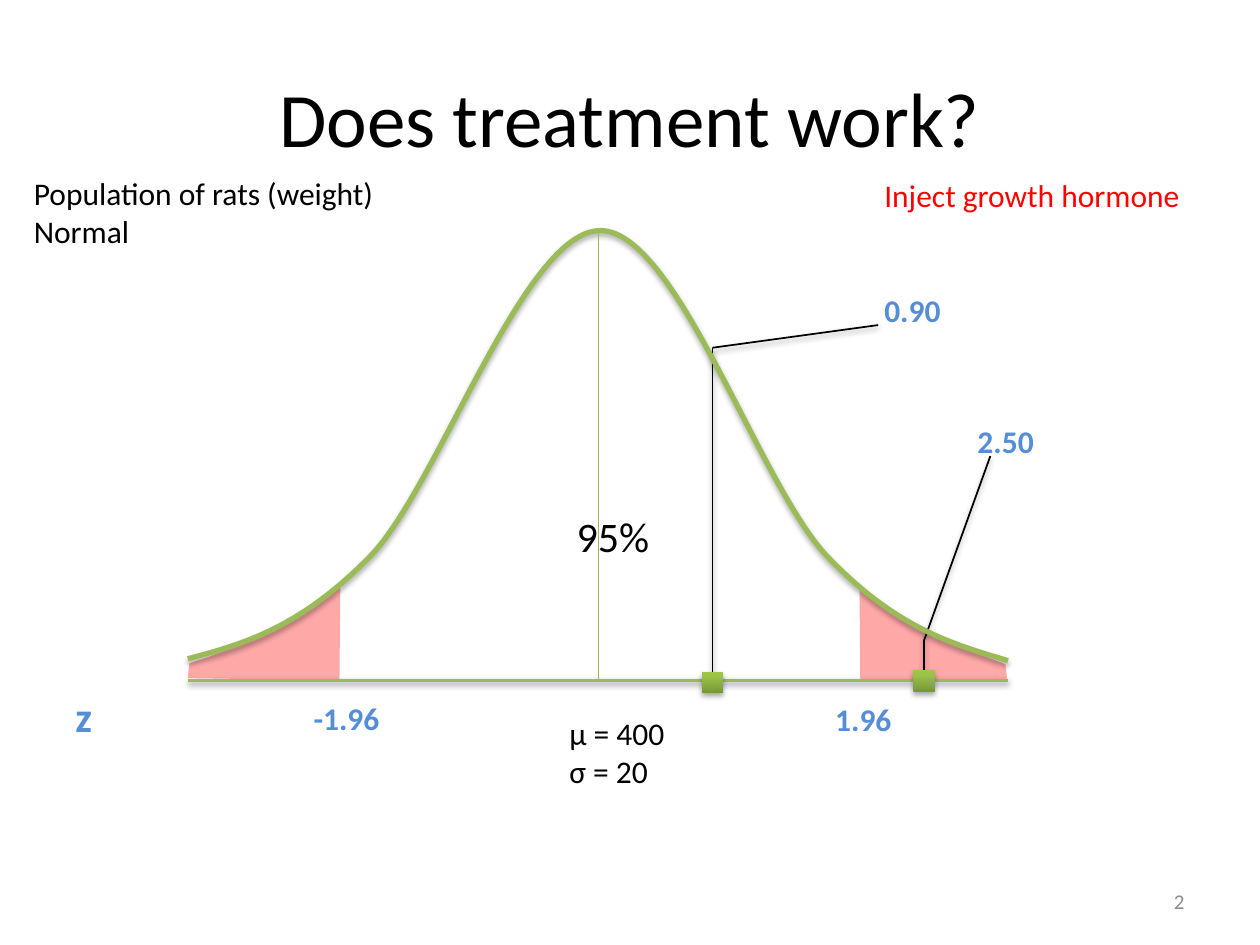
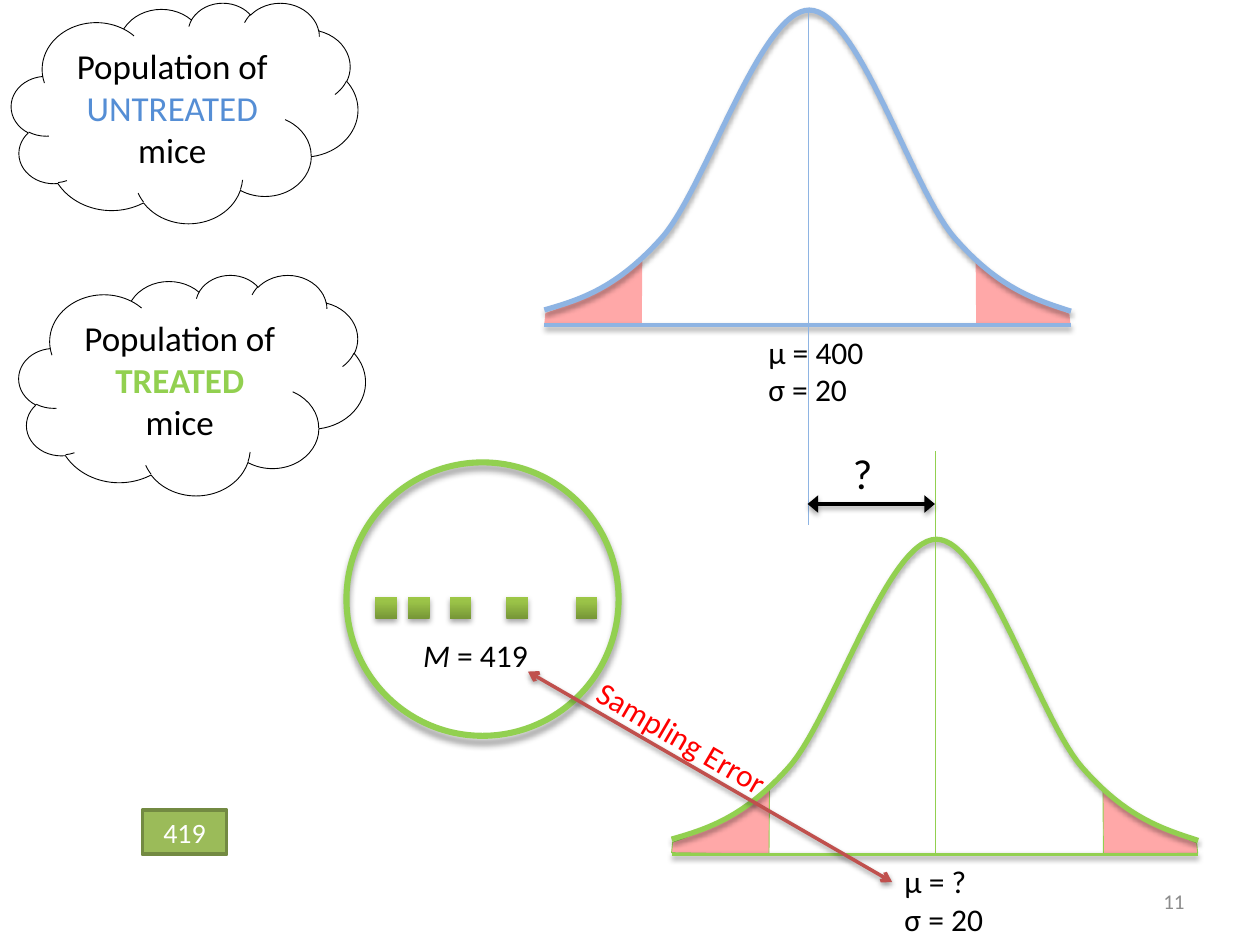
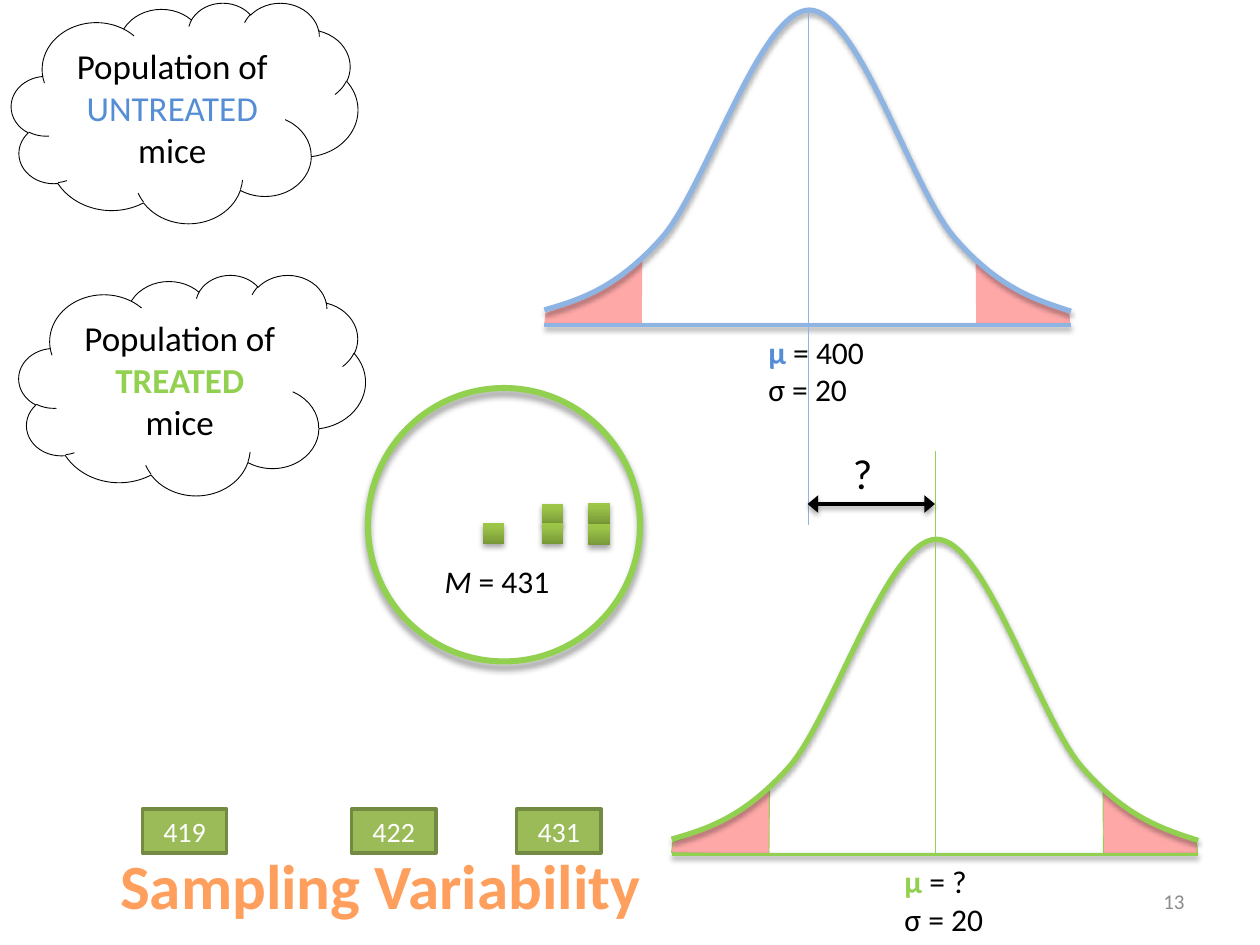
"""Build three slides on treatment effects and sampling."""
import dataclasses

import lxml.etree
import pptx
import pptx.dml.color
import pptx.enum.shapes
import pptx.enum.text
import pptx.oxml.ns
import pptx.util

Inches = pptx.util.Inches
Pt = pptx.util.Pt
SHAPE = pptx.enum.shapes.MSO_SHAPE
ALIGN = pptx.enum.text.PP_ALIGN
ANCHOR = pptx.enum.text.MSO_ANCHOR


@dataclasses.dataclass(frozen=True)
class Theme:
    """Fonts, colours, type sizes and shadows that the slides share."""
    font: str = "Calibri"
    black: str = "000000"
    white: str = "FFFFFF"
    grey: str = "8C8C8C"
    red: str = "FF0000"
    brick: str = "C0504D"
    blue: str = "558ED5"
    sky: str = "8EB4E3"
    green: str = "92D050"
    olive: str = "9BBB59"
    moss: str = "98B955"
    edge: str = "738A42"
    leaf: tuple = ((0, "779737"), (80, "9BC348"), (100, "9DC746"))
    peach: tuple = ((0, "FFA367"), (25, "FF9F5D"), (50, "F38E3A"),
                    (75, "FF9F5D"), (100, "FFA367"))
    title: int = 44
    banner: int = 36
    large: int = 24
    cloud: int = 20
    body: int = 18
    card: int = 16
    small: int = 12
    soft: tuple = (35, 3.15, 1.8)
    firm: tuple = (38, 3.15, 1.6)
    deep: tuple = (40, 4, 3)
    dot: float = 0.17


THEME = Theme()

MID = 50.1
CURVE = [(0, 95.2),
         (6.9, 91.9), (13.8, 88.2), (22.3, 72.3),
         (30.6, 56.6), (41, 0), (50.3, 0),
         (59.6, 0), (69.6, 56.3), (77.9, 72.3),
         (86.2, 88.2), (93.1, 91.9), (100, 95.6)]
TAILS = [
    [(18.5, 100), (18.6, 79.3), (14.8, 84.5), (12, 87.4), (8.7, 90.4),
     (5.2, 93), (1.9, 95.2), (0.2, 96.2), (0, 99.5)],
    [(82, 100), (81.9, 79.3), (85.7, 84.6), (88.4, 87.6), (91.6, 90.5),
     (94.8, 93), (98.1, 95.3), (99.7, 96.4), (99.9, 99.7)],
]


def paint(code):
    """Return a colour from its hex code."""
    return pptx.dml.color.RGBColor.from_string(code)


def child(parent, tag, **facts):
    """Add an XML child and return it."""
    name = pptx.oxml.ns.qn(tag)
    return lxml.etree.SubElement(parent, name, {k: str(v) for k, v in facts.items()})


def shade(item, cast=None):
    """Give a shape or connector its own shadow, or none."""
    effects = child(item._element.spPr, "a:effectLst")
    if cast:
        alpha, blur, gap = cast
        shadow = child(effects, "a:outerShdw", blurRad=Pt(blur), dist=Pt(gap),
                       dir=90 * 60000, rotWithShape=0)
        colour = child(shadow, "a:srgbClr", val=THEME.black)
        child(colour, "a:alpha", val=alpha * 1000)


def blend(fill, host, stops, angle):
    """Fill with a gradient of several stops."""
    fill.gradient()
    fill.gradient_angle = angle
    rows = host.find(pptx.oxml.ns.qn("a:gradFill")).find(pptx.oxml.ns.qn("a:gsLst"))
    for old in list(rows):
        rows.remove(old)
    for place, code in stops:
        stop = child(rows, "a:gs", pos=place * 1000)
        child(stop, "a:srgbClr", val=code)


def stroke(item, code, width):
    """Set the line colour and width."""
    item.line.color.rgb = paint(code)
    item.line.width = Pt(width)


def write(frame, rows, size, align=ALIGN.LEFT):
    """Write rows of (text, colour, style) runs into a text frame."""
    frame.word_wrap = True
    for index, row in enumerate(rows):
        para = frame.paragraphs[0] if index == 0 else frame.add_paragraph()
        para.alignment = align
        for words, colour, style in row:
            run = para.add_run()
            run.text = words
            font = run.font
            font.name, font.size = THEME.font, Pt(size)
            font.bold, font.italic = style == "b", style == "i"
            if isinstance(colour, tuple):
                blend(font.fill, run._r.get_or_add_rPr(), colour, 270)
            else:
                font.color.rgb = paint(colour)


def text(slide, spot, rows, size=THEME.body, align=ALIGN.LEFT, fit=True):
    """Add a text box that fits its text or centres it in height."""
    box = slide.shapes.add_textbox(*map(Inches, spot))
    write(box.text_frame, rows, size, align)
    if fit:
        box.text_frame.auto_size = pptx.enum.text.MSO_AUTO_SIZE.SHAPE_TO_FIT_TEXT
    else:
        box.text_frame.vertical_anchor = ANCHOR.MIDDLE
    return box


def label(slide, spot, words, colour=THEME.black, style="", **look):
    """Add a text box of one run."""
    return text(slide, spot, [[(words, colour, style)]], **look)


def line(slide, start, end, code, width, cast=None, heads=None):
    """Add a straight line, with arrowheads at both ends if given."""
    link = slide.shapes.add_connector(pptx.enum.shapes.MSO_CONNECTOR.STRAIGHT,
                                      *map(Inches, (*start, *end)))
    stroke(link, code, width)
    if heads:
        kind, breadth = heads
        for tag in ("a:headEnd", "a:tailEnd"):
            child(link.line._get_or_add_ln(), tag, type=kind, w=breadth)
    shade(link, cast)
    return link


def dot(slide, left, top):
    """Add a small green square for one case."""
    box = slide.shapes.add_shape(SHAPE.RECTANGLE, *map(Inches, (left, top, THEME.dot, THEME.dot)))
    blend(box.fill, box._element.spPr, THEME.leaf, 90)
    box.line.fill.background()
    shade(box, THEME.soft)
    return box


def trace(slide, area, points, close):
    """Draw an outline given in percent of an area."""
    left, top, wide, high = area
    spots = [(Inches(left + wide * x / 100), Inches(top + high * y / 100)) for x, y in points]
    pen = slide.shapes.build_freeform(*spots[0])
    pen.add_line_segments(spots[1:], close=close)
    return pen.convert_to_shape()


def bend(shape):
    """Turn each three straight segments of an outline into one cubic curve."""
    steps = list(shape._element.spPr.iter(pptx.oxml.ns.qn("a:lnTo")))
    route = steps[0].getparent()
    for first in range(0, len(steps), 3):
        curve = child(route, "a:cubicBezTo")
        for step in steps[first:first + 3]:
            curve.append(step[0])
            route.remove(step)


def tails(slide, area, edge=None):
    """Shade both tails of a bell."""
    for points in TAILS:
        tail = trace(slide, area, points, True)
        tail.fill.solid()
        tail.fill.fore_color.rgb = paint(THEME.red)
        colour = tail._element.spPr.find(".//" + pptx.oxml.ns.qn("a:srgbClr"))
        child(colour, "a:alpha", val=34000)
        if edge:
            stroke(tail, edge, 0.5)
        else:
            tail.line.fill.background()
        shade(tail)


def bell(slide, area, code):
    """Draw a bell curve and its base line."""
    left, top, wide, high = area
    curve = trace(slide, area, CURVE, False)
    bend(curve)
    curve.fill.background()
    stroke(curve, code, 3)
    shade(curve, THEME.soft)
    base = top + high
    line(slide, (left, base), (left + wide, base), code, 2, THEME.firm)


def mean(slide, area, start, end, code):
    """Draw the upright line at the middle of a bell."""
    mid = area[0] + area[2] * MID / 100
    line(slide, (mid, start), (mid, end), code, 0.75)


def facts(slide, spot, value, colour=THEME.black, style=""):
    """Name the mean and spread of a population."""
    first = [("µ", colour, style), (f" = {value}", THEME.black, "")]
    if not style:
        first = [(f"µ = {value}", colour, "")]
    text(slide, spot, [first, [("σ = 20", THEME.black, "")]])


def cloud(slide, left, top, group, colour, style=""):
    """Add a cloud that names a population."""
    puff = slide.shapes.add_shape(SHAPE.CLOUD, *map(Inches, (left, top, 2.75, 1.75)))
    puff.fill.background()
    stroke(puff, THEME.black, 0.5)
    shade(puff)
    write(puff.text_frame, [[("Population of ", THEME.black, ""), (group + " ", colour, style),
                             ("mice", THEME.black, "")]], THEME.cloud, ALIGN.CENTER)


def sample(slide, left, top, value, dots):
    """Draw a sample ring with its cases and its mean."""
    ring = slide.shapes.add_shape(SHAPE.OVAL, *map(Inches, (left, top, 2.16, 2.17)))
    ring.fill.background()
    stroke(ring, THEME.green, 3.5)
    shade(ring, THEME.deep)
    for spot in dots:
        dot(slide, *spot)
    text(slide, (left + 0.51, top + 1.33, 1.39, 0.4),
         [[("M ", THEME.black, "i"), (f"= {value}", THEME.black, "")]])


def card(slide, left, top, value):
    """Add a card with a sample mean."""
    box = slide.shapes.add_shape(SHAPE.RECTANGLE, *map(Inches, (left, top, 0.67, 0.35)))
    box.fill.solid()
    box.fill.fore_color.rgb = paint(THEME.olive)
    stroke(box, THEME.edge, 2)
    shade(box)
    write(box.text_frame, [[(value, THEME.white, "")]], THEME.card, ALIGN.CENTER)


def page(deck, number):
    """Add a blank slide with its number."""
    slide = deck.slides.add_slide(deck.slide_layouts[6])
    label(slide, (7.17, 6.95, 2.33, 0.4), number, THEME.grey,
          size=THEME.small, align=ALIGN.RIGHT, fit=False)
    return slide


def mice(deck, number, marks=(THEME.black, THEME.black), style=""):
    """Add a slide that compares untreated and treated mice."""
    slide = page(deck, number)
    cloud(slide, 0.09, 0.02, "UNTREATED", THEME.blue)
    cloud(slide, 0.15, 2.18, "TREATED", THEME.green, "b")
    upper, lower = (4.32, 0.08, 4.18, 2.5), (5.33, 4.28, 4.18, 2.5)
    tails(slide, upper)
    bell(slide, upper, THEME.sky)
    mean(slide, upper, 0.08, 4.17, THEME.sky)
    tails(slide, lower, THEME.green)
    bell(slide, lower, THEME.green)
    mean(slide, lower, 3.58, 6.79, THEME.green)
    line(slide, (6.41, 4), (7.42, 4), THEME.black, 2, THEME.firm, ("triangle", "lg"))
    label(slide, (6.67, 3.5, 0.66, 0.5), "?", size=THEME.large)
    facts(slide, (6, 2.59, 1.66, 0.71), "400", marks[0], style)
    facts(slide, (7.08, 6.79, 2.5, 0.71), "?", marks[1], style)
    return slide


def treat(deck):
    """Build the slide that asks if treatment works."""
    slide = page(deck, "2")
    area = (1.49, 1.83, 6.51, 3.57)
    tails(slide, area)
    label(slide, (0.5, 0.3, 9, 1.25), "Does treatment work?",
          size=THEME.title, align=ALIGN.CENTER, fit=False)
    text(slide, (0.17, 1.33, 2.92, 0.71), [[("Population of rats (weight)", THEME.black, "")],
                                           [("Normal", THEME.black, "")]])
    label(slide, (6.92, 1.35, 2.75, 0.4), "Inject growth hormone", THEME.red)
    for left, top, wide, words in [(6.92, 2.26, 1.03, "0.90"), (7.66, 3.3, 1.03, "2.50"),
                                   (6.53, 5.51, 0.81, "1.96"), (2.39, 5.5, 0.86, "-1.96")]:
        label(slide, (left, top, wide, 0.4), words, THEME.blue, "b")
    label(slide, (0.5, 5.43, 1.17, 0.5), "z", THEME.blue, "b", size=THEME.large)
    facts(slide, (4.42, 5.62, 2.17, 0.71), "400")
    label(slide, (3.53, 4, 2.67, 0.5), "95%", size=THEME.large, align=ALIGN.CENTER)
    drops = []
    for high, tip, foot in [(2.76, (6.97, 2.58), (5.57, 5.33)),
                            (5.08, (7.86, 3.62), (7.25, 5.32))]:
        mid = foot[0] + THEME.dot / 2
        line(slide, (mid, high), tip, THEME.black, 1, THEME.soft)
        drop = line(slide, (mid, high), (mid, foot[1]), THEME.black, 1, THEME.soft)
        drops.append((drop, foot))
    mid = drops[0][1][0] + THEME.dot / 2
    line(slide, (mid, 2.77), (mid, 4.83), THEME.black, 0.75)
    bell(slide, area, THEME.olive)
    mean(slide, area, 1.83, 5.4, THEME.moss)
    for drop, foot in drops:
        drop.end_connect(dot(slide, *foot), 0)


def error(deck):
    """Build the slide on sampling error."""
    slide = mice(deck, "11")
    sample(slide, 2.75, 3.67, "419", [(left, 4.74) for left in (2.98, 3.24, 3.57, 4.02, 4.57)])
    card(slide, 1.13, 6.43, "419")
    note = label(slide, (4.55, 5.71, 1.92, 0.4), "Sampling Error", THEME.red)
    note.rotation = 30.3
    line(slide, (4.19, 5.33), (7.08, 7), THEME.brick, 2, THEME.firm, ("arrow", "med"))


def spread(deck):
    """Build the slide on sampling variability."""
    slide = mice(deck, "13", (THEME.blue, THEME.green), "b")
    sample(slide, 2.92, 3.08, "431",
           [(4.67, 3.99), (4.3, 4), (4.67, 4.16), (4.3, 4.15), (3.83, 4.15)])
    for left, value in [(1.13, "419"), (2.79, "422"), (4.1, "431")]:
        card(slide, left, 6.42, value)
    banner = label(slide, (0.83, 6.67, 4.38, 0.71), "Sampling Variability", THEME.peach, "b",
                   size=THEME.banner, align=ALIGN.CENTER)
    banner.text_frame.word_wrap = False


def main():
    """Build and save the deck."""
    deck = pptx.Presentation()
    deck.slide_width, deck.slide_height = Inches(10), Inches(7.5)
    treat(deck)
    error(deck)
    spread(deck)
    deck.save("out.pptx")


if __name__ == "__main__":
    main()
